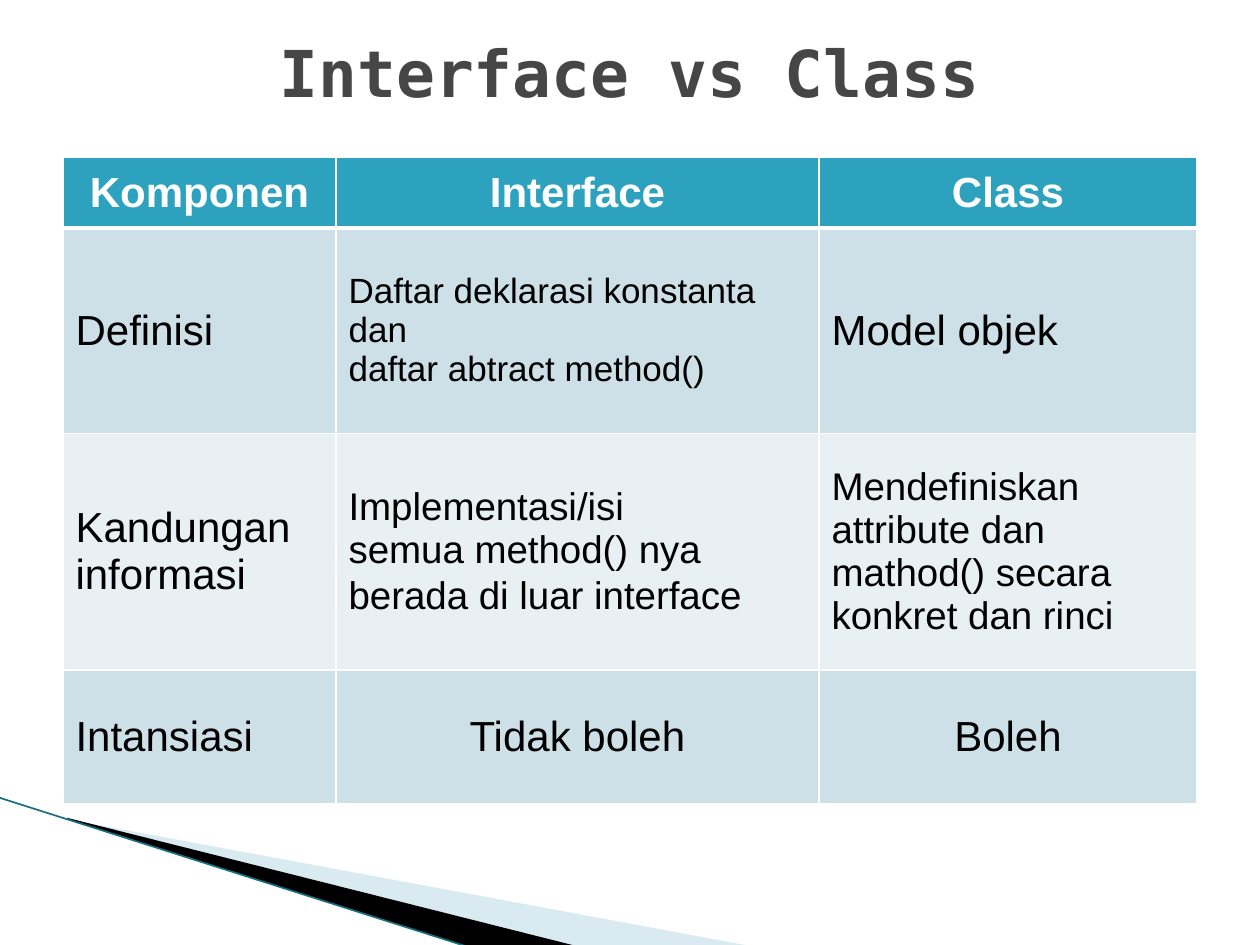
import pptx
import pptx.util
import pptx.dml.color
import pptx.enum.shapes
import pptx.enum.text
import pptx.oxml
import pptx.oxml.ns
from lxml import etree

Pt = pptx.util.Pt
RGBColor = pptx.dml.color.RGBColor
PP_ALIGN = pptx.enum.text.PP_ALIGN
MIDDLE = pptx.enum.text.MSO_ANCHOR.MIDDLE
qn = pptx.oxml.ns.qn

WHITE = RGBColor(0xFF, 0xFF, 0xFF)
BLACK = RGBColor(0, 0, 0)
GREY = RGBColor(0x46, 0x46, 0x46)
TEAL = RGBColor(0x2D, 0xA2, 0xBF)
DARK_TEAL = RGBColor(0x16, 0x70, 0x80)
PALE_BLUE = RGBColor(0xA0, 0xCB, 0xDC)
BAND_ODD = RGBColor(0xCD, 0xE0, 0xE8)
BAND_EVEN = RGBColor(0xE8, 0xF0, 0xF4)

TITLE = "Interface vs Class"
CENTER, LEFT = PP_ALIGN.CENTER, PP_ALIGN.LEFT
ROWS = [
    [
        (CENTER, [[("Komponen", 24)]]),
        (CENTER, [[("Interface", 24)]]),
        (CENTER, [[("Class", 24)]]),
    ],
    [
        (LEFT, [[("Definisi", 24)]]),
        (LEFT, [[("Daftar deklarasi konstanta dan", 20)],
                [("daftar abtract method()", 20)]]),
        (LEFT, [[("Model objek", 24)]]),
    ],
    [
        (LEFT, [[("Kandungan informasi", 24)]]),
        (LEFT, [[("Implementasi/isi", 22)],
                [("semua method() nya berada di luar interface", 22), (" ", 24)]]),
        (LEFT, [[("Mendefiniskan attribute dan mathod() secara konkret dan rinci", 22)]]),
    ],
    [
        (LEFT, [[("Intansiasi", 24)]]),
        (CENTER, [[("Tidak boleh", 24)]]),
        (CENTER, [[("Boleh", 24)]]),
    ],
]
COL_WIDTHS = [156, 276, 216]
ROW_HEIGHTS = [40.3, 117.4, 135.3, 76.3]
WEDGES = [
    (PALE_BLUE, 40, [(39.6, 468.4), (428.4, 540.5), (328.3, 540.5), (39.6, 468)]),
    (BLACK, 100, [(38.2, 467.3), (329, 540.5), (267.8, 541.2), (38.9, 468)]),
]
EDGE = [(-0.5, 455.8), (267.8, 541.2)]


def add_run(p, text, size, font, color, bold=False):
    r = p.add_run()
    r.text = text
    r.font.size = Pt(size)
    r.font.name = font
    r.font.bold = bold
    r.font.color.rgb = color


def add_wedge(s, color, opacity, points):
    points = [(Pt(x), Pt(y)) for x, y in points]
    builder = s.shapes.build_freeform(*points[0], scale=1.0)
    builder.add_line_segments(points[1:], close=True)
    sp = builder.convert_to_shape()
    sp.shadow.inherit = False
    sp.line.fill.background()
    sp.fill.solid()
    sp.fill.fore_color.rgb = color
    if opacity < 100:
        clr = sp._element.spPr.find(".//" + qn("a:srgbClr"))
        etree.SubElement(clr, qn("a:alpha"), val=str(opacity * 1000))


def add_edge(s):
    (x1, y1), (x2, y2) = EDGE
    line = s.shapes.add_connector(
        pptx.enum.shapes.MSO_CONNECTOR.STRAIGHT, Pt(x1), Pt(y1), Pt(x2), Pt(y2))
    line.line.color.rgb = DARK_TEAL
    line.line.width = Pt(0.95)
    etree.SubElement(line._element.spPr, qn("a:effectLst"))


def set_borders(cell, row):
    tcPr = cell._tc.get_or_add_tcPr()
    widths = {"lnL": 1, "lnR": 1, "lnT": 3 if row == 1 else 1, "lnB": 3 if row == 0 else 1}
    for side, width in widths.items():
        ln = etree.SubElement(tcPr, qn("a:" + side), w=str(Pt(width)))
        fill = etree.SubElement(ln, qn("a:solidFill"))
        etree.SubElement(fill, qn("a:srgbClr"), val=str(WHITE))


def fill_cell(cell, row, align, paragraphs):
    set_borders(cell, row)
    cell.fill.solid()
    cell.fill.fore_color.rgb = TEAL if row == 0 else BAND_ODD if row % 2 else BAND_EVEN
    cell.vertical_anchor = MIDDLE
    tf = cell.text_frame
    for i, runs in enumerate(paragraphs):
        p = tf.paragraphs[0] if i == 0 else tf.add_paragraph()
        p.alignment = align
        for text, size in runs:
            add_run(p, text, size, "Arial", BLACK if row else WHITE, row == 0)


def add_comparison(s):
    table = s.shapes.add_table(
        len(ROWS), len(COL_WIDTHS), Pt(36), Pt(90),
        Pt(sum(COL_WIDTHS)), Pt(sum(ROW_HEIGHTS))).table
    for column, width in zip(table.columns, COL_WIDTHS):
        column.width = Pt(width)
    for i, (height, cells) in enumerate(zip(ROW_HEIGHTS, ROWS)):
        table.rows[i].height = Pt(height)
        for j, (align, paragraphs) in enumerate(cells):
            fill_cell(table.cell(i, j), i, align, paragraphs)


def add_title(s):
    sp = s.shapes.title
    sp.left, sp.top, sp.width, sp.height = Pt(36), Pt(21.6), Pt(648), Pt(38.2)
    tf = sp.text_frame
    tf.word_wrap = True
    tf.auto_size = pptx.enum.text.MSO_AUTO_SIZE.NONE
    tf.vertical_anchor = MIDDLE
    p = tf.paragraphs[0]
    p.alignment = CENTER
    add_run(p, TITLE, 36.9, "DejaVu Sans Mono", GREY, True)


def main():
    prs = pptx.Presentation()
    prs.slide_width, prs.slide_height = Pt(720), Pt(540)
    s = prs.slides.add_slide(prs.slide_layouts[5])
    for wedge in WEDGES:
        add_wedge(s, *wedge)
    add_edge(s)
    add_comparison(s)
    add_title(s)
    prs.save("out.pptx")


if __name__ == "__main__":
    main()
